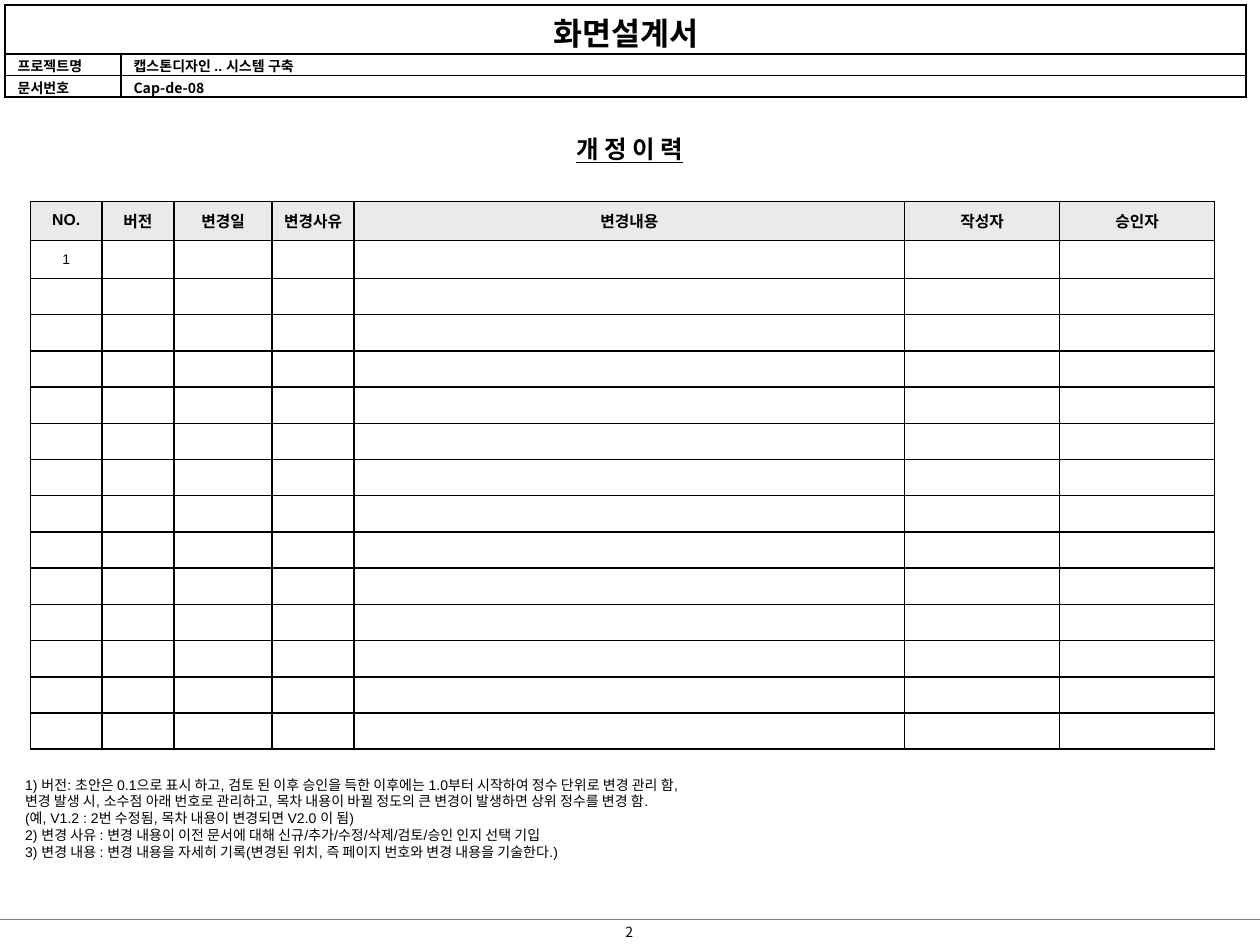
from dataclasses import dataclass

from lxml import etree
from pptx import Presentation
from pptx.dml.color import RGBColor
from pptx.enum.shapes import MSO_CONNECTOR
from pptx.enum.text import MSO_ANCHOR, PP_ALIGN
from pptx.oxml.ns import qn
from pptx.slide import Slide
from pptx.util import Inches, Pt

LEFT, CENTER = PP_ALIGN.LEFT, PP_ALIGN.CENTER
TOP, MIDDLE = MSO_ANCHOR.TOP, MSO_ANCHOR.MIDDLE
STRAIGHT = MSO_CONNECTOR.STRAIGHT

COLORS = {"text": "000000", "border": "000000", "rule": "808080",
          "paper": "FFFFFF", "header": "EAEAEA"}
LATIN, KOREAN = "Arial", "Noto Sans CJK KR"

HEADINGS = ["NO.", "버전", "변경일", "변경사유", "변경내용", "작성자", "승인자"]
REVISION_COLUMNS = [0.57, 0.57, 0.78, 0.65, 4.37, 1.23, 1.23]
REVISION_HEIGHT, HEADING_HEIGHT, FIRST_HEIGHT, EMPTY_ROWS = 4.35, 0.31, 0.3, 13
NOTES = [
    "1) 버전: 초안은 0.1으로 표시 하고, 검토 된 이후 승인을 득한 이후에는 1.0부터 시작하여 정수 단위로 변경 관리 함,",
    "변경 발생 시, 소수점 아래 번호로 관리하고, 목차 내용이 바뀔 정도의 큰 변경이 발생하면 상위 정수를 변경 함.",
    "(예, V1.2 : 2번 수정됨, 목차 내용이 변경되면 V2.0 이 됨)",
    "2) 변경 사유 : 변경 내용이 이전 문서에 대해 신규/추가/수정/삭제/검토/승인 인지 선택 기입",
    "3) 변경 내용 : 변경 내용을 자세히 기록(변경된 위치, 즉 페이지 번호와 변경 내용을 기술한다.)",
]


@dataclass
class SlideBuilder:
    slide: Slide

    def fill_paragraph(self, paragraph, text, align=LEFT, spacing=None, **font):
        paragraph.alignment = align
        if spacing:
            paragraph.line_spacing = Pt(spacing)
        run = paragraph.add_run()
        run.text = text
        values = {"size": 8, "name": LATIN, **font}
        values["size"] = Pt(values["size"])
        for name, value in values.items():
            setattr(run.font, name, value)
        run.font.color.rgb = RGBColor.from_string(COLORS["text"])
        latin = run._r.rPr.find(qn("a:latin"))
        latin.addnext(latin.makeelement(qn("a:ea"), {"typeface": KOREAN}))

    def text_box(self, left, top, width, height, lines, anchor=TOP, **style):
        box = self.slide.shapes.add_textbox(*map(Inches, (left, top, width, height)))
        frame = box.text_frame
        frame.word_wrap = True
        frame.vertical_anchor = anchor
        for index, line in enumerate(lines):
            paragraph = frame.add_paragraph() if index else frame.paragraphs[0]
            self.fill_paragraph(paragraph, line, **style)

    def line(self, left, top, right, bottom):
        connector = self.slide.shapes.add_connector(
            STRAIGHT, *map(Inches, (left, top, right, bottom)))
        connector.line.color.rgb = RGBColor.from_string(COLORS["rule"])
        connector.line.width = Pt(0.75)
        etree.SubElement(connector._element.spPr, qn("a:effectLst"))

    def table(self, left, top, columns, rows):
        """Add an unstyled table with column widths and row heights in inches."""
        frame = self.slide.shapes.add_table(
            len(rows), len(columns),
            *map(Inches, (left, top, sum(columns), sum(rows))))
        table = frame.table
        table.first_row = table.horz_banding = False
        for column, width in zip(table.columns, columns):
            column.width = Inches(width)
        for row, height in zip(table.rows, rows):
            row.height = Inches(height)
        return table

    def cell(self, cell, text="", fill=None, margins=(0.09, 0.05, 0.09, 0.05),
             anchor=MIDDLE, **style):
        sides = ("margin_left", "margin_top", "margin_right", "margin_bottom")
        for side, margin in zip(sides, margins):
            setattr(cell, side, Inches(margin))
        cell.vertical_anchor = anchor
        self.borders(cell)
        if fill:
            cell.fill.solid()
            cell.fill.fore_color.rgb = RGBColor.from_string(COLORS[fill])
        else:
            cell.fill.background()
        paragraph = cell.text_frame.paragraphs[0]
        if text:
            self.fill_paragraph(paragraph, text, **style)
        else:  # a small end mark keeps an empty row at its own height
            etree.SubElement(paragraph._p, qn("a:endParaRPr"), sz="800")

    def borders(self, cell):
        properties = cell._tc.get_or_add_tcPr()
        for edge in ("a:lnL", "a:lnR", "a:lnT", "a:lnB"):
            line = etree.SubElement(properties, qn(edge), w=str(Pt(1)))
            fill = etree.SubElement(line, qn("a:solidFill"))
            etree.SubElement(fill, qn("a:srgbClr"), val=COLORS["border"])


def add_document_header(builder):
    table = builder.table(0.04, 0.04, [0.92, 8.93], [0.39, 0.17, 0.17])
    table.cell(0, 0).merge(table.cell(0, 1))
    builder.cell(table.cell(0, 0), "화면설계서", "paper", (0.1, 0.03, 0.1, 0),
                 TOP, align=CENTER, size=18, name=KOREAN, bold=True)
    builder.borders(table.cell(0, 1))
    details = [("프로젝트명", "캡스톤디자인 .. 시스템 구축", LATIN),
               ("문서번호", "Cap-de-08", KOREAN)]
    for row, (label, value, value_font) in enumerate(details, start=1):
        for column, (text, font) in enumerate([(label, LATIN), (value, value_font)]):
            builder.cell(table.cell(row, column), text, "paper",
                         (0.1, 0.01, 0.1, 0), TOP, name=font, bold=True)


def add_revision_table(builder):
    empty_height = (REVISION_HEIGHT - HEADING_HEIGHT - FIRST_HEIGHT) / EMPTY_ROWS
    heights = [HEADING_HEIGHT, FIRST_HEIGHT] + [empty_height] * EMPTY_ROWS
    table = builder.table(0.24, 1.6, REVISION_COLUMNS, heights)
    for column, heading in enumerate(HEADINGS):
        builder.cell(table.cell(0, column), heading, "header",
                     (0.04, 0, 0.04, 0.01), align=CENTER, size=9, bold=True)
        for row in range(1, len(heights)):
            text = "1" if (row, column) == (1, 0) else ""
            builder.cell(table.cell(row, column), text, align=CENTER)


def main():
    presentation = Presentation()
    presentation.slide_width, presentation.slide_height = Inches(10), Inches(7.5)
    builder = SlideBuilder(presentation.slides.add_slide(presentation.slide_layouts[6]))
    builder.line(0, 7.3, 10, 7.3)
    builder.text_box(4.72, 7.28, 0.55, 0.24, ["2"], MIDDLE, align=CENTER, name=KOREAN)
    add_document_header(builder)
    builder.text_box(0, 1.01, 10, 0.34, ["개 정 이 력"], MIDDLE, align=CENTER,
                     size=14, bold=True, underline=True)
    builder.text_box(0.1, 6.11, 9.01, 0.77, NOTES, spacing=9.6)
    add_revision_table(builder)
    presentation.save("out.pptx")


if __name__ == "__main__":
    main()
